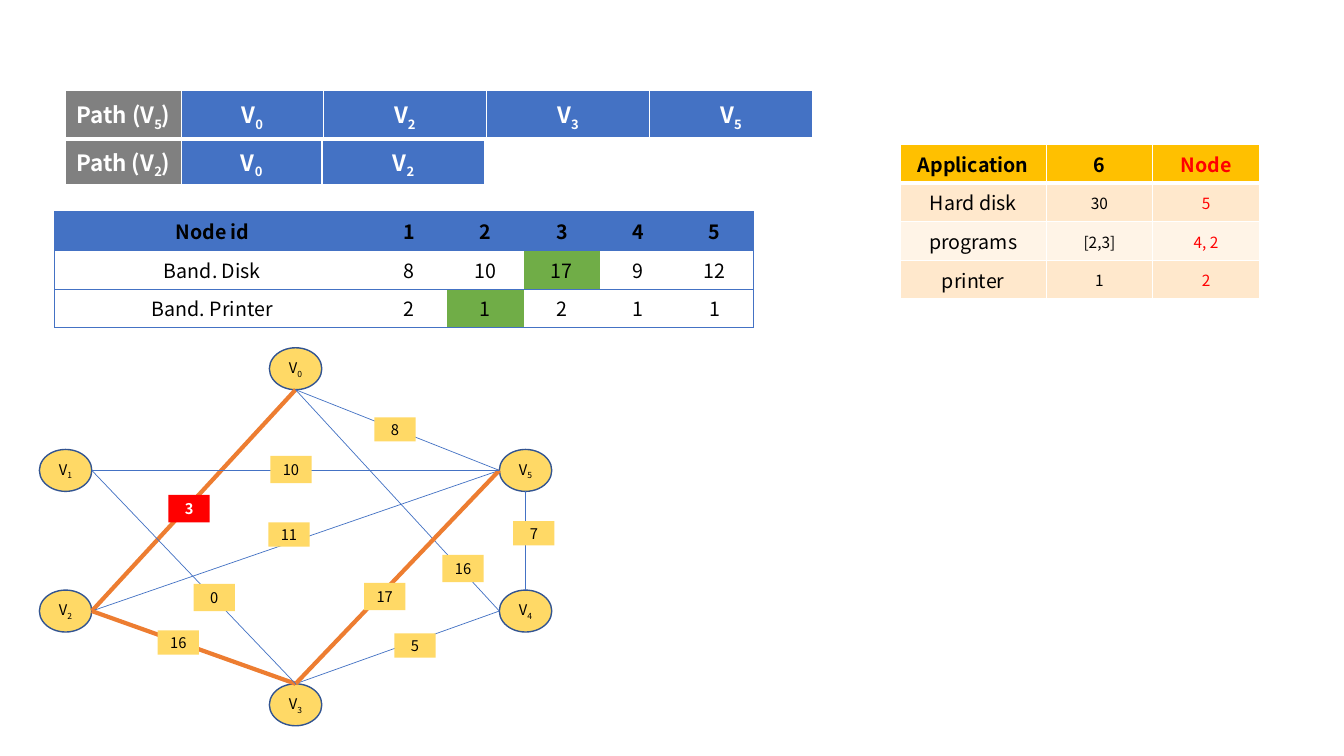
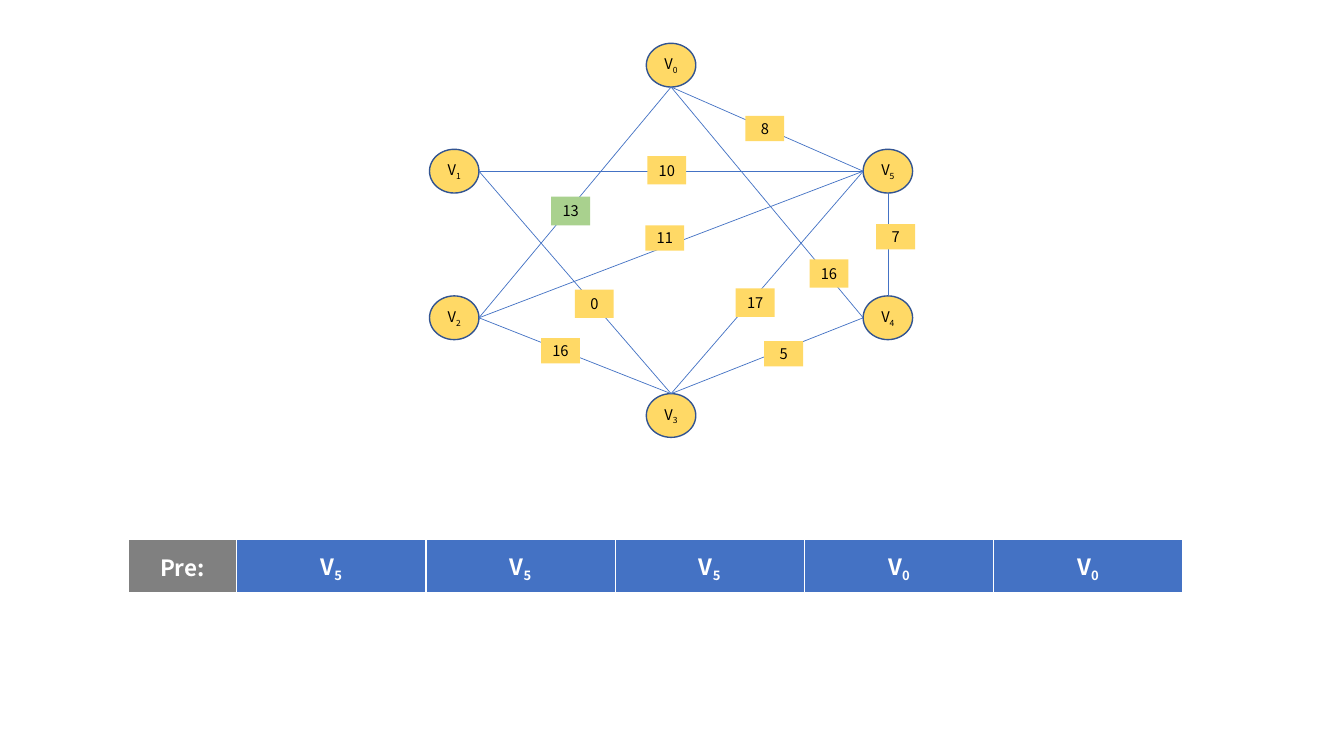
import dataclasses

import lxml.etree
import pptx
import pptx.dml.color
import pptx.enum.shapes
import pptx.enum.text
import pptx.oxml.ns
import pptx.util

FONT = "Noto Sans CJK JP"
SLIDE_WIDTH = pptx.util.Inches(13.33)
SLIDE_HEIGHT = pptx.util.Inches(7.5)
COLORS = {
    "black": "000000", "white": "FFFFFF", "red": "FF0000", "grey": "808080",
    "blue": "4472C4", "outline": "325491", "orange": "ED7D31", "gold": "FFC000",
    "yellow": "FFD966", "green": "70AD47", "mint": "A9D18E",
    "peach": "FFE8CC", "cream": "FFF4E7",
}
NODE_WIDTH, NODE_HEIGHT, LABEL_WIDTH = 10.24, 11.1, 8.05
NODES = [(44.9, 0), (0, 26.9), (0, 64.1), (44.9, 88.9), (89.8, 64.1), (89.8, 26.9)]
SIDES = {"top": (0.5, 0), "bottom": (0.5, 1), "left": (0, 0.5), "right": (1, 0.5)}
NODE_SIDES = ["bottom", "right", "right", "top", "left", "left"]
EDGES = {
    (0, 2): ("13", 25.2, 38.9, 7.3),
    (0, 4): ("16", 78.7, 54.8, 7.2),
    (2, 5): ("11", 44.7, 46.2, 6.4),
    (2, 3): ("16", 23.1, 74.8, 6.4),
    (3, 4): ("5", 69.3, 75.6, 6.4),
    (3, 5): ("17", 63.4, 62.2, 7.2),
    (4, 5): ("7", 92.5, 45.9, 6.4),
    (1, 5): ("10", 45.1, 28.6, 7.2),
    (1, 3): ("0", 30.1, 62.5, 7.2),
    (0, 5): ("8", 65.4, 18.4, 6.4),
}


@dataclasses.dataclass
class Look:
    """Fill and type of a cell, node or label."""
    fill: str = ""
    color: str = "black"
    size: float = 14
    bold: bool = False
    tight: bool = False


PLAIN_LABEL = Look("yellow", size=10.5)


@dataclasses.dataclass
class Box:
    """A rectangle on the slide that can be divided by percent."""
    left: float = 0
    top: float = 0
    width: float = SLIDE_WIDTH
    height: float = SLIDE_HEIGHT

    def area(self, left, top, width, height):
        """Return the box at the given percents of this one."""
        return Box(self.left + self.width * left / 100, self.top + self.height * top / 100,
                   self.width * width / 100, self.height * height / 100)

    def point(self, side):
        """Return the middle of one side."""
        across, down = SIDES[side]
        return round(self.left + self.width * across), round(self.top + self.height * down)

    def frame(self):
        """Return whole lengths for placing an object."""
        return [round(length) for length in (self.left, self.top, self.width, self.height)]


def rgb(name):
    """Return the named colour."""
    return pptx.dml.color.RGBColor.from_string(COLORS[name])


def write(text_frame, text, look):
    """Write one centred line, lowering the letter after an underscore."""
    para = text_frame.paragraphs[0]
    start, *lowered = text.split("_")
    para.text = start
    for rest in lowered:
        for piece in filter(None, (rest[:1], rest[1:])):
            para.add_run().text = piece
    para.alignment = pptx.enum.text.PP_ALIGN.CENTER
    for index, span in enumerate(para.runs):
        span.font.name = FONT
        span.font.size = pptx.util.Pt(look.size)
        span.font.bold = look.bold
        span.font.color.rgb = rgb(look.color)
        if index == 1:
            span.font._element.set("baseline", "-25000")


def add_marker(page, kind, box, text, look, outline=None):
    """Add a filled shape with a short text."""
    marker = page.shapes.add_shape(kind, *box.frame())
    marker.shadow.inherit = False
    marker.fill.solid()
    marker.fill.fore_color.rgb = rgb(look.fill)
    if outline:
        marker.line.color.rgb = rgb(outline)
        marker.line.width = pptx.util.Pt(1)
    else:
        marker.line.fill.background()
    frame = marker.text_frame
    frame.margin_left = frame.margin_right = frame.margin_top = frame.margin_bottom = 0
    frame.vertical_anchor = pptx.enum.text.MSO_ANCHOR.MIDDLE
    frame.word_wrap = True
    write(frame, text, look)


def add_edge(page, start, end, color, width):
    """Add a straight line between two points."""
    edge = page.shapes.add_connector(pptx.enum.shapes.MSO_CONNECTOR.STRAIGHT, *start, *end)
    edge.line.color.rgb = rgb(color)
    edge.line.width = pptx.util.Pt(width)
    lxml.etree.SubElement(edge._element.spPr, pptx.oxml.ns.qn("a:effectLst"))


def add_graph(page, box, route=(), changed=None):
    """Draw the weighted graph, with a thick route and changed labels."""
    shapes = pptx.enum.shapes.MSO_SHAPE
    nodes = [box.area(left, top, NODE_WIDTH, NODE_HEIGHT) for left, top in NODES]
    for index, node in enumerate(nodes):
        add_marker(page, shapes.OVAL, node, f"V_{index}", PLAIN_LABEL, "outline")
    for first, second in EDGES:
        sides = NODE_SIDES[first], NODE_SIDES[second]
        if (first, second) == (4, 5):
            sides = "top", "bottom"
        style = ("orange", 3) if (first, second) in route else ("blue", 0.5)
        add_edge(page, nodes[first].point(sides[0]), nodes[second].point(sides[1]), *style)
    for pair, (weight, left, top, height) in EDGES.items():
        text, look = (changed or {}).get(pair, (weight, PLAIN_LABEL))
        add_marker(page, shapes.RECTANGLE, box.area(left, top, LABEL_WIDTH, height), text, look)


def set_borders(cell, color, widths):
    """Set left, right, top and bottom borders, where 0 means none."""
    properties = cell._tc.get_or_add_tcPr()
    for index, (side, width) in enumerate(zip("LRTB", widths)):
        line = lxml.etree.Element(pptx.oxml.ns.qn(f"a:ln{side}"), w=str(int(pptx.util.Pt(width))))
        kind = "a:solidFill" if width else "a:noFill"
        paint = lxml.etree.SubElement(line, pptx.oxml.ns.qn(kind))
        if width:
            lxml.etree.SubElement(paint, pptx.oxml.ns.qn("a:srgbClr"), val=COLORS[color])
        properties.insert(index, line)


def add_grid(page, box, shares, rows, look_of, border_color, borders_of, middle=True):
    """Add a table whose looks and borders follow from row and column."""
    table = page.shapes.add_table(len(rows), len(shares), *box.frame()).table
    table.first_row = table.horz_banding = False
    for column, share in zip(table.columns, shares):
        column.width = round(box.width * share / sum(shares))
    for row, texts in enumerate(rows):
        table.rows[row].height = round(box.height / len(rows))
        for column, text in enumerate(texts):
            cell, look = table.cell(row, column), look_of(row, column)
            if look.fill:
                cell.fill.solid()
                cell.fill.fore_color.rgb = rgb(look.fill)
            else:
                cell.fill.background()
            if look.tight:
                cell.margin_left = cell.margin_right = cell.margin_top = pptx.util.Inches(0.01)
                cell.margin_bottom = 0
            if middle:
                cell.vertical_anchor = pptx.enum.text.MSO_ANCHOR.MIDDLE
            write(cell.text_frame, text, look)
            set_borders(cell, border_color, borders_of(row, column))


def add_strip(page, box, shares, texts):
    """Add a one-row table with a grey head and blue cells."""
    def look_of(row, column):
        """Return the look of a strip cell."""
        return Look("blue" if column else "grey", "white", 16, True, True)

    add_grid(page, box, shares, [texts], look_of, "white", lambda row, column: (1, 1, 1, 3))


def add_bandwidths(page, box):
    """Add the bandwidth table with the chosen nodes in green."""
    rows = [["Node id", "1", "2", "3", "4", "5"],
            ["Band. Disk", "8", "10", "17", "9", "12"],
            ["Band. Printer", "2", "1", "2", "1", "1"]]

    def look_of(row, column):
        """Return the look of a bandwidth cell."""
        if row == 0:
            return Look("blue", bold=True)
        return Look("green" if (row, column) in ((1, 3), (2, 2)) else "")

    def borders_of(row, column):
        """Return row rules and the outer frame."""
        return 0.5 * (column == 0), 0.5 * (column == 5), 0.5, 0.5

    add_grid(page, box, [3.14] + [0.76] * 5, rows, look_of, "blue", borders_of, middle=False)


def add_application(page, box):
    """Add the table of application needs and chosen nodes."""
    rows = [["Application", "6", "Node"], ["Hard disk", "30", "5"],
            ["programs", "[2,3]", "4, 2"], ["printer", "1", "2"]]

    def look_of(row, column):
        """Return the look of an application cell."""
        color = "red" if column == 2 else "black"
        if row == 0:
            return Look("gold", color, bold=True)
        fill = "peach" if row % 2 else "cream"
        return Look(fill, color, 11 if column else 14, tight=column > 0)

    def borders_of(row, column):
        """Return white rules, thick below the head."""
        return 1, 1, 3 if row == 1 else 1, 3 if row == 0 else 1

    add_grid(page, box, [1.45, 1.06, 1.06], rows, look_of, "white", borders_of)


def build_route_slide(page, box):
    """Fill the slide of the chosen route."""
    add_application(page, box.area(66.99, 19.07, 26.71, 19.07))
    add_bandwidths(page, box.area(4.05, 28, 51.99, 14.67))
    add_strip(page, box.area(4.88, 18.4, 31.21, 6.13), [1.15, 1.4, 1.62],
              ["Path (V_2)", "V_0", "V_2"])
    add_strip(page, box.area(4.88, 12, 55.59, 6.4), [1.15, 1.41] + [1.62] * 3,
              ["Path (V_5)", "V_0", "V_2", "V_3", "V_5"])
    add_graph(page, box.area(2.93, 46, 38.11, 50), [(0, 2), (2, 3), (3, 5)],
              {(0, 2): ("3", Look("red", "white", 10.5, True))})


def build_predecessor_slide(page, box):
    """Fill the slide of the predecessor list."""
    add_graph(page, box.area(31.96, 5.73, 35.93, 52.13),
              changed={(0, 2): ("13", Look("mint", size=10.5))})
    add_strip(page, box.area(9.53, 71.33, 78.47, 7.2), [1.08] + [1.88] * 5,
              ["Pre:", "V_5", "V_5", "V_5", "V_0", "V_0"])


def main():
    """Build and save the deck."""
    deck = pptx.Presentation()
    deck.slide_width, deck.slide_height = SLIDE_WIDTH, SLIDE_HEIGHT
    for build in (build_route_slide, build_predecessor_slide):
        build(deck.slides.add_slide(deck.slide_layouts[6]), Box())
    deck.save("out.pptx")


if __name__ == "__main__":
    main()
